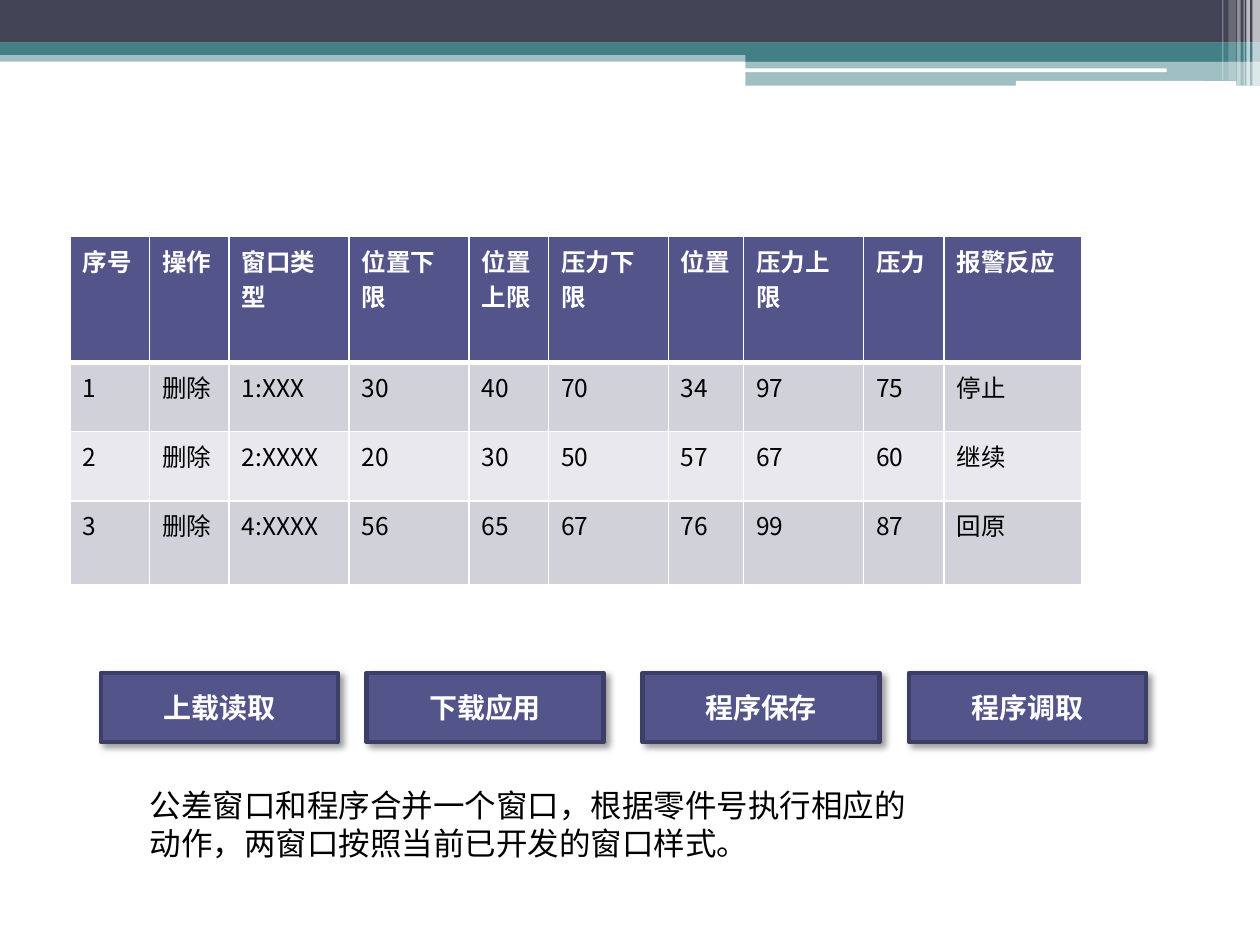
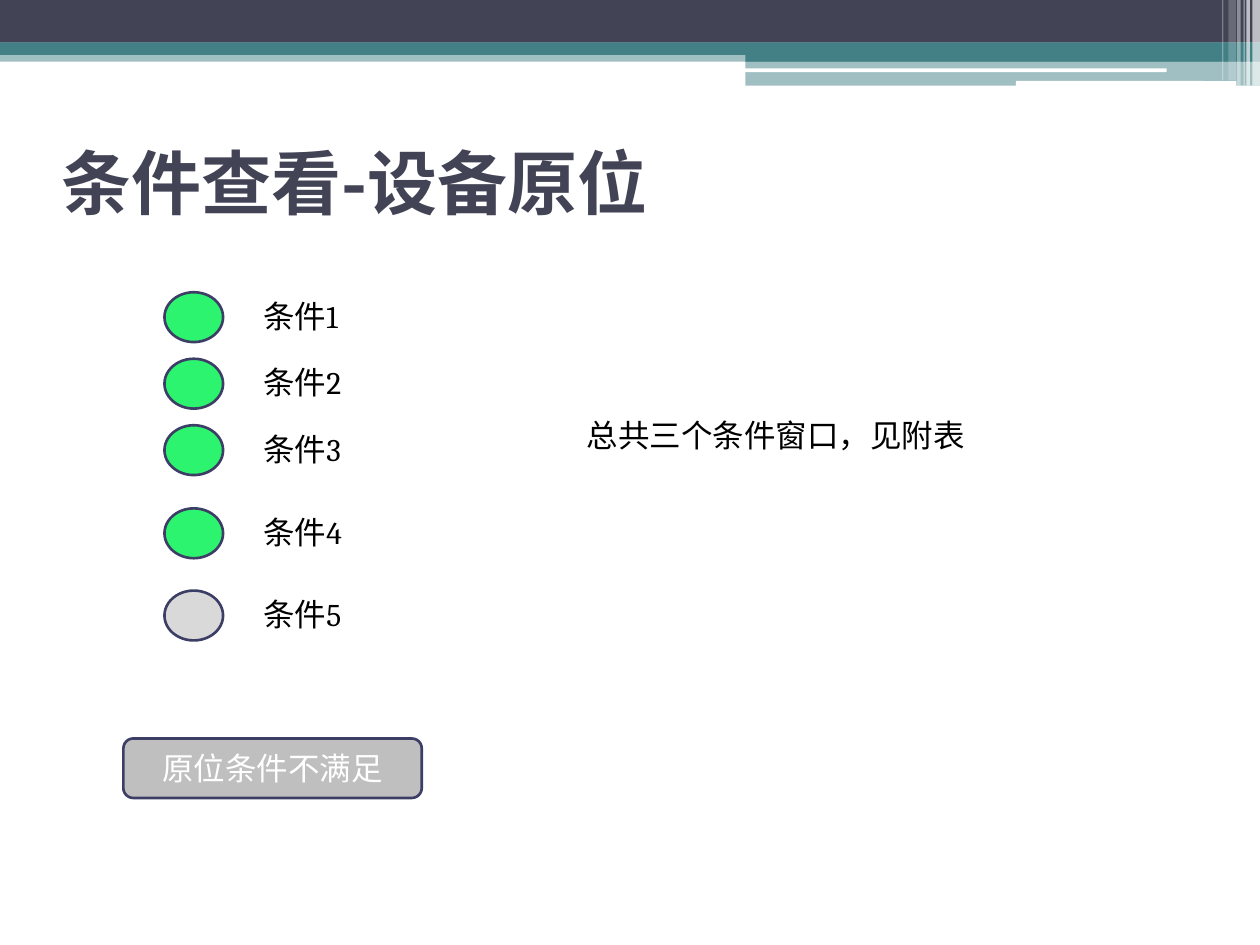
from dataclasses import dataclass
from lxml.etree import SubElement
from pptx import Presentation
from pptx.dml.color import RGBColor
from pptx.enum.shapes import MSO_SHAPE
from pptx.enum.text import MSO_ANCHOR, PP_ALIGN
from pptx.oxml.ns import qn
from pptx.util import Pt


@dataclass(frozen=True)
class Theme:
    dark: str = "424456"
    teal: str = "438086"
    blue: str = "53548A"
    edge: str = "3D3E66"
    white: str = "FFFFFF"
    black: str = "000000"
    green: str = "2CF46F"
    pale: str = "D9D9D9"
    grey: str = "BFBFBF"
    rows: tuple = ("D1D1DA", "E9E9ED")
    sans: str = "Noto Sans CJK SC"
    serif: str = "Cambria"
    title: int = 40
    body: int = 18
    button: int = 16
    cell: int = 14


theme = Theme()


def draw(slide, kind, box, fill, line=None, weight=1.5):
    shape = slide.shapes.add_shape(kind, *map(Pt, box))
    shape.shadow.inherit = False
    shape.fill.solid()
    shape.fill.fore_color.rgb = RGBColor.from_string(fill)
    if line:
        shape.line.color.rgb = RGBColor.from_string(line)
        shape.line.width = Pt(weight)
    else:
        shape.line.fill.background()
    return shape


def write(frame, text, size, color, face=theme.serif, bold=False, align=PP_ALIGN.LEFT):
    frame.word_wrap = True
    para = frame.paragraphs[0]
    para.alignment = align
    run = para.add_run()
    run.text = text
    font = run.font
    font.size, font.bold, font.name = Pt(size), bold, face
    font.color.rgb = RGBColor.from_string(color)
    SubElement(run.font._element, qn("a:ea"), typeface=theme.sans)


deck = Presentation()
deck.slide_width, deck.slide_height = Pt(720), Pt(540)
first = deck.slides.add_slide(deck.slide_layouts[6])
second = deck.slides.add_slide(deck.slide_layouts[5])

rect, round_rect = MSO_SHAPE.RECTANGLE, MSO_SHAPE.ROUNDED_RECTANGLE
bands = [
    (rect, (0, 28.8, 720, 6.5), theme.teal, 50),
    (rect, (0, 0, 720, 24.4), theme.dark, 100),
    (rect, (0, 24.2, 720, 7.2), theme.teal, 100),
    (rect, (426, 28.1, 294, 7.2), theme.teal, 100),
    (rect, (426, 34.7, 294, 14.2), theme.teal, 50),
    (round_rect, (425.5, 39.1, 241.2, 2.2), theme.white, 100),
    (round_rect, (580.5, 46.3, 126, 2.8), theme.white, 100),
]
stripes = [
    (715.7, 4.3, 49, 65), (712.2, 2, 49, 65), (710.6, 0.7, 49, 60),
    (707, 2, 49, 40), (702, 4.3, 46, 20), (698.4, 0.7, 46, 30),
]
bands += [(rect, (left, 0, wide, high), theme.white, alpha)
          for left, wide, high, alpha in stripes]
master = deck.slide_master.shapes.element
for index, (kind, box, fill, alpha) in enumerate(bands):
    band = draw(first, kind, box, fill)
    color = band.element.spPr.find(".//" + qn("a:srgbClr"))
    if alpha < 100:
        SubElement(color, qn("a:alpha"), val=str(alpha * 1000))
    band.element.nvSpPr.cNvPr.set("id", str(100 + index))
    master.insert(2 + index, band.element)

data = [
    ["序号", "操作", "窗口类型", "位置下限", "位置上限",
     "压力下限", "位置", "压力上限", "压力", "报警反应"],
    ["1", "删除", "1:XXX", "30", "40", "70", "34", "97", "75", "停止"],
    ["2", "删除", "2:XXXX", "20", "30", "50", "57", "67", "60", "继续"],
    ["3", "删除", "4:XXXX", "56", "65", "67", "76", "99", "87", "回原"],
]
widths = [45.5, 45.5, 68.5, 68.5, 45.5, 68.5, 43, 68.5, 46, 78.5]
heights = [72, 39.6, 39.6, 48]
table = first.shapes.add_table(
    len(data), len(widths), Pt(40), Pt(135), Pt(sum(widths)), Pt(sum(heights))).table
table.horz_banding = False
for column, width in zip(table.columns, widths):
    column.width = Pt(width)
for row, height in zip(table.rows, heights):
    row.height = Pt(height)
for r, texts in enumerate(data):
    head = r == 0
    for c, text in enumerate(texts):
        cell = table.cell(r, c)
        props = cell._tc.get_or_add_tcPr()
        for side in "LRTB":
            thick = (r, side) in ((0, "B"), (1, "T"))
            line = SubElement(props, qn("a:ln" + side), w=str(Pt(3 if thick else 1)))
            paint = SubElement(line, qn("a:solidFill"))
            SubElement(paint, qn("a:srgbClr"), val=theme.white)
        cell.fill.solid()
        shade = theme.blue if head else theme.rows[(r - 1) % 2]
        cell.fill.fore_color.rgb = RGBColor.from_string(shade)
        ink = theme.white if head else theme.black
        write(cell.text_frame, text, theme.cell, ink, theme.sans, head)

buttons = [(57.6, "上载读取"), (209.5, "下载应用"), (367.2, "程序保存"), (519.5, "程序调取")]
for left, text in buttons:
    button = draw(first, rect, (left, 384.5, 135.4, 39.6), theme.blue, theme.edge, 2.5)
    effects = button.element.spPr.find(qn("a:effectLst"))
    shadow = SubElement(effects, qn("a:outerShdw"), blurRad=str(Pt(4)),
                        dist=str(Pt(3)), dir="2700000", rotWithShape="0")
    color = SubElement(shadow, qn("a:srgbClr"), val=theme.black)
    SubElement(color, qn("a:alpha"), val="40000")
    button.text_frame.vertical_anchor = MSO_ANCHOR.MIDDLE
    write(button.text_frame, text, theme.button, theme.white, theme.sans, True, PP_ALIGN.CENTER)

title = second.shapes.title
title.left, title.top, title.width, title.height = map(Pt, (28, 62, 648, 84))
title.text_frame.vertical_anchor = MSO_ANCHOR.MIDDLE
write(title.text_frame, "条件查看-设备原位", theme.title, theme.dark, theme.sans, True)

notes = [
    (first, (78.5, 445.7, 450.7, 51), "公差窗口和程序合并一个窗口，根据零件号执行相应的动作，两窗口按照当前已开发的窗口样式。"),
    (second, (328.3, 234, 247.7, 29), "总共三个条件窗口，见附表"),
]
for number, top in enumerate([167, 205, 243, 290.5, 337.5], 1):
    fill = theme.green if number < 5 else theme.pale
    draw(second, MSO_SHAPE.OVAL, (94, top, 33.5, 28.5), fill, theme.edge)
    notes.append((second, (143.5, top - 1, 97, 29), f"条件{number}"))
for slide, box, text in notes:
    note = slide.shapes.add_textbox(*map(Pt, box))
    write(note.text_frame, text, theme.body, theme.black)

status = draw(second, round_rect, (70.5, 422, 170.5, 34), theme.grey, theme.edge)
status.text_frame.vertical_anchor = MSO_ANCHOR.MIDDLE
write(status.text_frame, "原位条件不满足", theme.body, theme.white, align=PP_ALIGN.CENTER)

deck.save("out.pptx")
